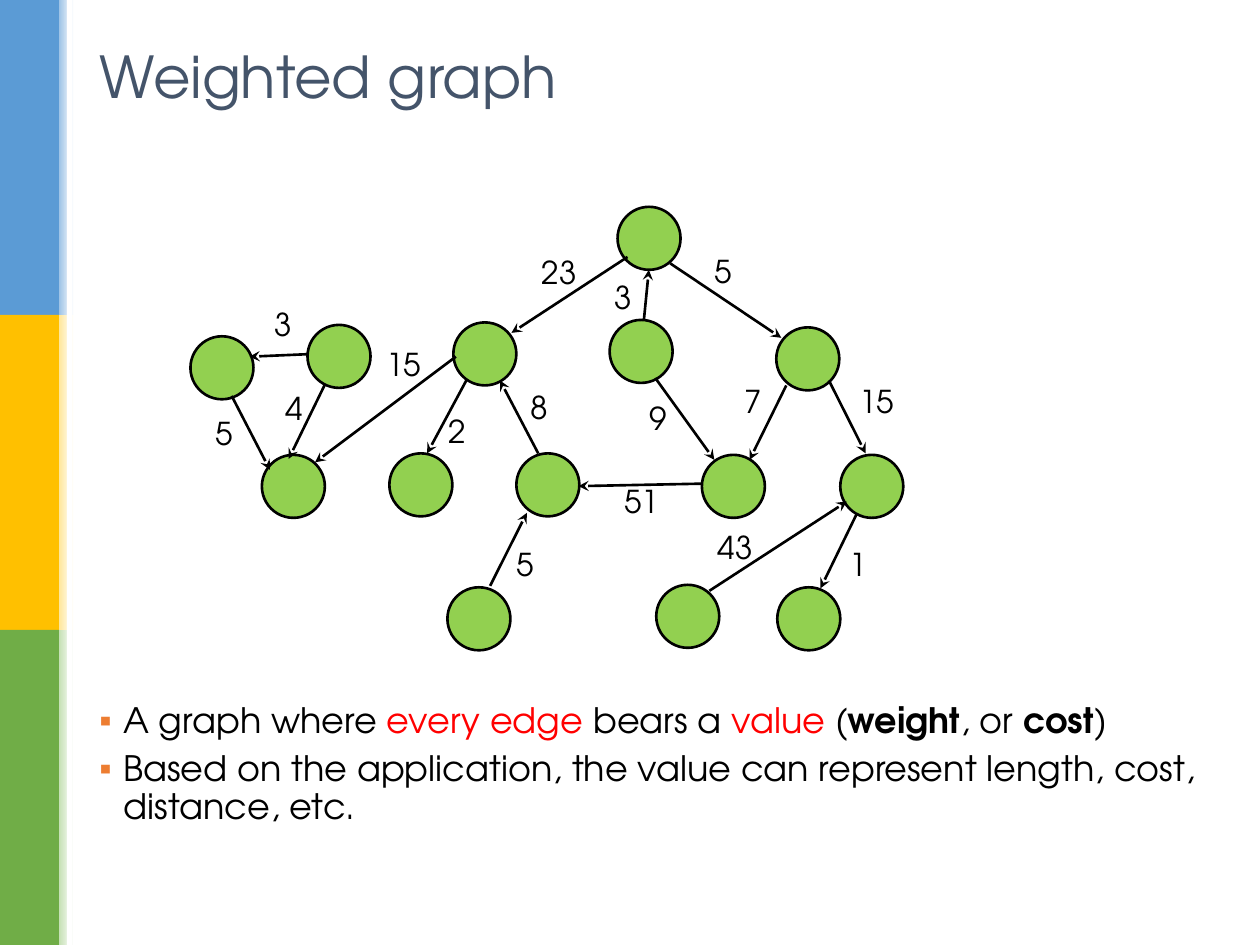
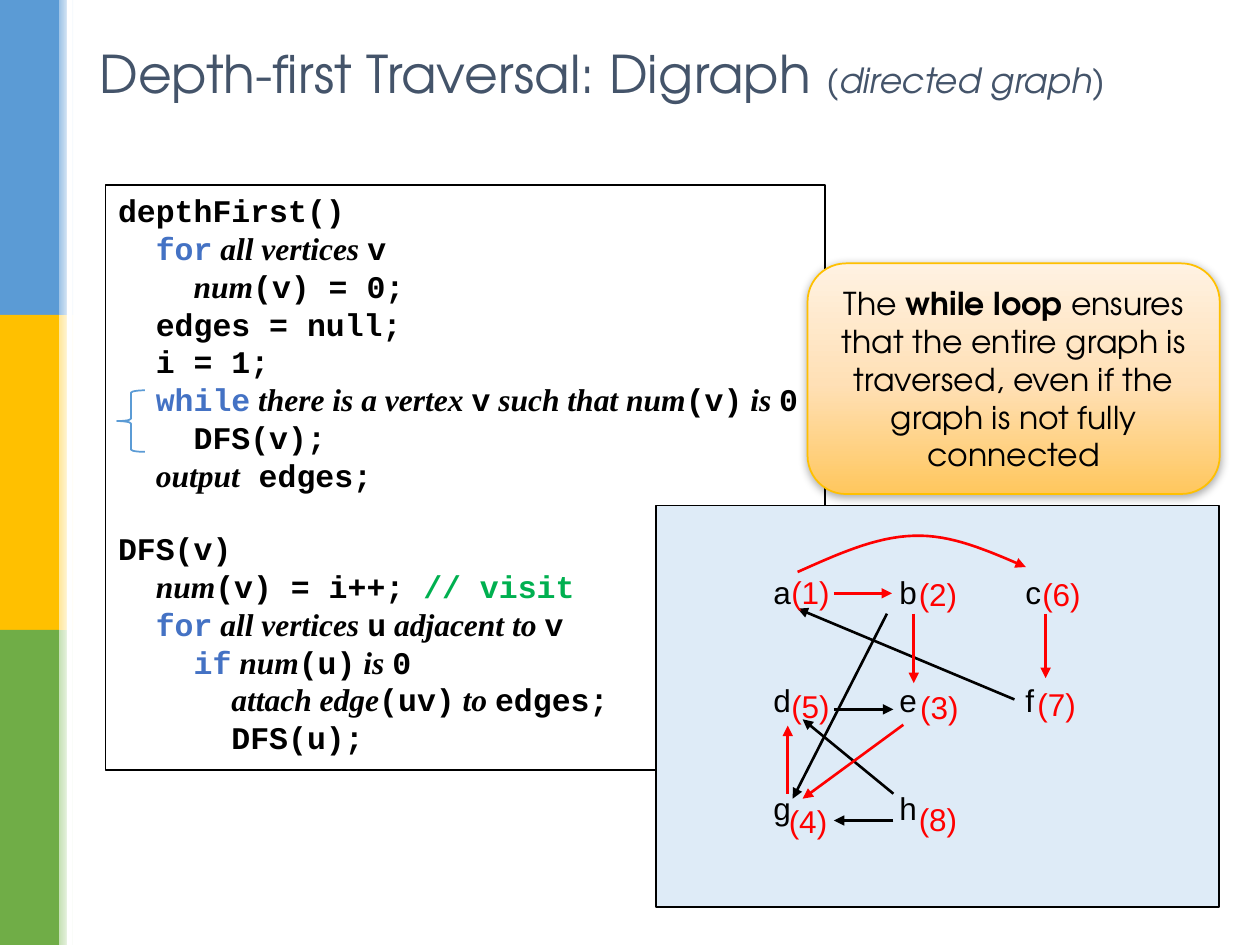
from lxml import etree
from pptx import Presentation
from pptx import util as u
from pptx.dml import color
from pptx.enum import shapes, text
from pptx.oxml import ns

COLORS = {
    "title": "44546A", "ink": "000000", "red": "FF0000", "node": "92D050",
    "bullet": "ED7D31", "keyword": "4472C4", "comment": "00B050",
    "panel": "DEEBF7", "blue": "5B9BD5", "gold": "FFC000", "green": "70AD47",
    "pale_blue": "9DC3E6", "pale_gold": "FFE699", "pale_green": "C5E0B4",
    "white": "FFFFFF", "orange": "FFC75E", "peach": "FFE0B6", "cream": "FFF2E2",
}
SANS, ARIAL, CODE, SERIF = "TeX Gyre Adventor", "Arial", "Courier New", "Times New Roman"
KIND = shapes.MSO_SHAPE
PLAIN = {}
BOLD = {"bold": True}
RED = {"ink": "red"}
KEY = {"ink": "keyword"}
WORD = {"name": SERIF, "italic": True}
NOTE = {"ink": "comment"}

NODE_SIZE = 1.27
NODES = [
    (12.45, 4.17), (9.14, 6.5), (12.29, 6.45), (15.65, 6.6), (3.84, 6.78),
    (6.2, 6.55), (5.28, 9.17), (7.85, 9.14), (10.41, 9.14), (14.15, 9.17),
    (16.94, 9.17), (9.02, 11.84), (13.23, 11.79), (15.67, 11.84),
]
WEIGHTED_EDGES = [
    ("23", (10.67, 4.98), (12.65, 5.18, 10.31, 6.71)),
    ("5", (14.15, 4.95), (13.51, 5.31, 15.75, 6.81)),
    ("3", (12.14, 5.49), (12.98, 6.45, 13.08, 5.44)),
    ("15", (17.07, 7.57), (16.71, 7.67, 17.45, 9.14)),
    ("7", (14.76, 7.57), (15.85, 7.77, 15.11, 9.27)),
    ("9", (12.85, 7.92), (13.21, 7.62, 14.4, 9.27)),
    ("1", (16.87, 10.87), (17.27, 10.36, 16.54, 11.86)),
    ("43", (14.22, 10.52), (14.3, 11.91, 17.07, 10.11)),
    ("51", (12.34, 9.6), (14.15, 9.75, 11.66, 9.8)),
    ("5", (10.16, 10.87), (9.88, 11.81, 10.62, 10.34)),
    ("8", (10.44, 7.7), (10.85, 9.14, 10.08, 7.67)),
    ("2", (8.79, 8.18), (9.4, 7.67, 8.61, 9.14)),
    ("15", (7.54, 6.83), (9.19, 7.19, 6.35, 9.32)),
    ("3", (5.28, 6.02), (6.2, 7.14, 5.03, 7.19)),
    ("5", (4.09, 8.23), (4.67, 7.98, 5.44, 9.47)),
    ("4", (5.51, 7.72), (6.55, 7.75, 5.82, 9.25)),
]
WEIGHT_BULLETS = [
    [("A graph where ", PLAIN), ("every edge ", RED), ("bears a ", PLAIN),
     ("value ", RED), ("(", PLAIN), ("weight", BOLD), (", or ", PLAIN),
     ("cost", BOLD), (")", PLAIN)],
    [("Based on the application, the value can represent length, cost, "
      "distance, etc.", PLAIN)],
]

DEPTH_FIRST = [
    [("depthFirst()", PLAIN)],
    [("  ", PLAIN), ("for", KEY), (" all vertices ", WORD), ("v", PLAIN)],
    [("    ", PLAIN), ("num", WORD), ("(v) = 0;", PLAIN)],
    [("  edges = null;", PLAIN)],
    [("  i = 1;", PLAIN)],
    [("  ", PLAIN), ("while", KEY), (" there is a vertex ", WORD), ("v", PLAIN),
     (" such that num", WORD), ("(v)", PLAIN), (" is ", WORD), ("0", PLAIN)],
    [("    DFS(v);", PLAIN)],
    [("  ", PLAIN), ("output", WORD), (" edges;", PLAIN)],
]
VISIT = [
    [("DFS(v)", PLAIN)],
    [("  ", PLAIN), ("num", WORD), ("(v) = i++; ", PLAIN), ("// visit", NOTE)],
    [("  ", PLAIN), ("for", KEY), (" all vertices ", WORD), ("u", PLAIN),
     (" adjacent to ", WORD), ("v", PLAIN)],
    [("    ", PLAIN), ("if", KEY), (" num", WORD), ("(u)", PLAIN),
     (" is ", WORD), ("0", PLAIN)],
    [("      ", PLAIN), ("attach edge", WORD), ("(uv)", PLAIN), (" to ", WORD),
     ("edges;", PLAIN)],
    [("      DFS(u);", PLAIN)],
]
UNUSED_EDGES = [
    (16.81, 14.3, 18.01, 14.3), (20.45, 14.1, 16.08, 12.27),
    (17.88, 12.37, 15.98, 16.1), (18.01, 16, 16.18, 14.5),
    (18.01, 16.54, 16.81, 16.54),
]
VISITED_EDGES = [
    (16.81, 11.96, 17.98, 11.96), (18.42, 12.37, 18.42, 13.77),
    (18.21, 14.61, 16.18, 16.1), (15.88, 16, 15.88, 14.63),
    (21.08, 12.37, 21.08, 13.67),
]
VISIT_NUMBERS = [
    (15.54, 11.43), (18.11, 11.46), (18.14, 13.74), (15.49, 16.05),
    (15.54, 13.72), (20.6, 11.46), (20.5, 13.69), (18.11, 16),
]
A_TO_C = [
    [(16.08, 11.53), (16.87, 11.18), (17.65, 10.82), (18.42, 10.8)],
    [(18.42, 10.8), (19.18, 10.77), (19.91, 11.1), (20.68, 11.43)],
]


def rgb(key):
    return color.RGBColor.from_string(COLORS[key])


def cm(*lengths):
    return [u.Cm(length) for length in lengths]


def child(parent, tag, **attributes):
    return etree.SubElement(parent, ns.qn(tag), attributes)


def style(font, size=None, name=None, ink=None, bold=None, italic=None):
    if size:
        font.size = u.Pt(size)
    if name:
        font.name = name
    if ink:
        font.color.rgb = rgb(ink)
    if bold is not None:
        font.bold = bold
    if italic is not None:
        font.italic = italic


def write(para, spans, **base):
    style(para.font, **base)
    for words, changes in spans:
        span = para.add_run()
        span.text = words
        style(span.font, **changes)


def paragraphs(frame, lines):
    for index, spans in enumerate(lines):
        yield (frame.add_paragraph() if index else frame.paragraphs[0]), spans


def outline(shape, ink, width):
    shape.line.color.rgb = rgb(ink)
    shape.line.width = u.Pt(width)


def add_arrowhead(shape, kind):
    child(shape.line._get_or_add_ln(), "a:tailEnd", type=kind)


def add_preset(page, kind, area, fill=None, ink=None, width=1):
    shape = page.shapes.add_shape(kind, *cm(*area))
    shape.shadow.inherit = False
    if fill:
        shape.fill.solid()
        shape.fill.fore_color.rgb = rgb(fill)
    else:
        shape.fill.background()
    if ink:
        outline(shape, ink, width)
    else:
        shape.line.fill.background()
    return shape


def blend(shape, stops, angle):
    shape.fill.gradient()
    shape.fill.gradient_angle = angle
    stop_list = shape.element.spPr.find(".//" + ns.qn("a:gsLst"))
    for old_stop in list(stop_list):
        stop_list.remove(old_stop)
    for position, key in stops:
        stop = child(stop_list, "a:gs", pos=str(position * 1000))
        child(stop, "a:srgbClr", val=COLORS[key])


def add_arrow(page, ends, head, ink="ink"):
    arrow = page.shapes.add_connector(shapes.MSO_CONNECTOR.STRAIGHT, *cm(*ends))
    outline(arrow, ink, 1.5)
    add_arrowhead(arrow, head)
    child(arrow.element.spPr, "a:effectLst")


def add_curved_arrow(page, curves, ink, steps=16):
    points = []
    for curve in curves:
        for step in range(steps + 1):
            t = step / steps
            weights = ((1 - t) ** 3, 3 * t * (1 - t) ** 2, 3 * t * t * (1 - t), t ** 3)
            points.append(cm(*(sum(w * p[axis] for w, p in zip(weights, curve))
                               for axis in (0, 1))))
    builder = page.shapes.build_freeform(*points[0])
    builder.add_line_segments(points[1:], close=False)
    arrow = builder.convert_to_shape()
    arrow.shadow.inherit = False
    arrow.fill.background()
    outline(arrow, ink, 1.5)
    add_arrowhead(arrow, "triangle")


def add_box(page, area, wrap=True):
    box = page.shapes.add_textbox(*cm(*area))
    box.text_frame.word_wrap = wrap
    return box


def add_label(page, words, area, name, ink="ink", centred=False):
    para = add_box(page, area, wrap=centred).text_frame.paragraphs[0]
    if centred:
        para.alignment = text.PP_ALIGN.CENTER
    write(para, [(words, PLAIN)], size=18, name=name, ink=ink)


def place(holder, area):
    holder.left, holder.top, holder.width, holder.height = cm(*area)
    holder.text_frame.auto_size = text.MSO_AUTO_SIZE.NONE
    return holder.text_frame


def set_title(page, spans, size, height):
    frame = place(page.shapes.title, (1.75, 0.66, 21.89, height))
    frame.vertical_anchor = text.MSO_ANCHOR.MIDDLE
    para = frame.paragraphs[0]
    para.alignment = text.PP_ALIGN.LEFT
    write(para, spans, size=size, name=SANS, ink="title")


def set_bullets(page, lines):
    frame = place(page.placeholders[1], (1.75, 14.05, 22.66, 4.42))
    for para, spans in paragraphs(frame, lines):
        properties = para._p.get_or_add_pPr()
        properties.set("marL", str(u.Cm(0.48)))
        properties.set("indent", str(u.Cm(-0.48)))
        child(child(properties, "a:buClr"), "a:srgbClr", val=COLORS["bullet"])
        child(properties, "a:buChar", char="▪")
        para.line_spacing = 0.9
        para.space_before = u.Pt(6 if para._p.getprevious().tag == ns.qn("a:p") else 0)
        write(para, spans, size=20, name=SANS, ink="ink")


def add_master_bands(deck, page):
    bands = []
    for row, key in enumerate(("blue", "gold", "green")):
        top = row * 6.35
        bands.append(add_preset(page, KIND.RECTANGLE, (0, top, 1.19, 6.35), key))
        fade = add_preset(page, KIND.RECTANGLE, (1.19, top, 0.3, 6.35))
        blend(fade, [(0, "pale_" + key), (100, "white")], 0)
        bands.append(fade)
    bands.append(add_preset(page, KIND.RECTANGLE, (1.35, 0, 0.1, 19.05), "white"))
    for number, band in enumerate(bands, 20):
        band.element.nvSpPr.cNvPr.id = number
        deck.slide_master.shapes.element.append(band.element)


def add_code(page):
    box = add_box(page, (2.13, 3.73, 14.5, 11.79))
    outline(box, "ink", 1)
    for para, spans in paragraphs(box.text_frame, DEPTH_FIRST + VISIT):
        if spans is VISIT[0]:
            para.space_before = u.Pt(20.4)
        write(para, spans, size=18, name=CODE, ink="ink", bold=True)


def add_vertex_letters(page):
    frame = add_box(page, (15.34, 11.43, 6.4, 5.61)).text_frame
    rows = ["a\tb\tc", "d\te\tf", "g\th"]
    for para, row in paragraphs(frame, rows):
        tabs = child(para._p.get_or_add_pPr(), "a:tabLst")
        for column in (1, 2):
            child(tabs, "a:tab", pos=str(u.Cm(2.54 * column)), algn="l")
        para.space_before = u.Pt(0 if row is rows[0] else 40)
        write(para, [(row, PLAIN)], size=18, name=ARIAL, ink="ink")


def add_callout(page, spans):
    callout = add_preset(page, KIND.ROUNDED_RECTANGLE, (16.28, 5.31, 8.31, 4.65), ink="gold")
    blend(callout, [(0, "orange"), (48, "peach"), (100, "cream")], 90)
    effects = callout.element.spPr.find(ns.qn("a:effectLst"))
    shadow = child(effects, "a:outerShdw", blurRad=str(u.Pt(5)), dist=str(u.Pt(1)),
                   dir="5400000", algn="ctr", rotWithShape="0")
    child(child(shadow, "a:srgbClr", val=COLORS["ink"]), "a:alpha", val="32000")
    callout.text_frame.word_wrap = True
    para = callout.text_frame.paragraphs[0]
    para.alignment = text.PP_ALIGN.CENTER
    write(para, spans, size=18, name=SANS, ink="ink")


def build_weighted_graph(page):
    set_title(page, [("Weighted graph", PLAIN)], 33, 1.73)
    for left, top in NODES:
        add_preset(page, KIND.OVAL, (left, top, NODE_SIZE, NODE_SIZE), "node", "ink", 1.5)
    for weight, corner, ends in WEIGHTED_EDGES:
        add_arrow(page, ends, "stealth")
        add_label(page, weight, (*corner, 0.5 + 0.36 * len(weight), 1.02), SANS)
    set_bullets(page, WEIGHT_BULLETS)


def build_traversal(page):
    set_title(page, [("Depth-first Traversal: Digraph ", PLAIN), ("(", {"size": 19.8}),
                     ("directed graph", {"size": 19.8, "italic": True}),
                     (")", {"size": 19.8})], 29.7, 1.6)
    add_code(page)
    add_preset(page, KIND.RECTANGLE, (13.23, 10.19, 11.35, 8.1), "panel", "ink")
    add_vertex_letters(page)
    for ends in UNUSED_EDGES:
        add_arrow(page, ends, "triangle")
    for ends in VISITED_EDGES:
        add_arrow(page, ends, "triangle", "red")
    add_curved_arrow(page, A_TO_C, "red")
    for number, corner in enumerate(VISIT_NUMBERS, 1):
        add_label(page, f"({number})", (*corner, 1.6, 1.02), ARIAL, "red", centred=True)
    add_preset(page, KIND.LEFT_BRACE, (2.36, 7.87, 0.56, 1.24), ink="blue")
    add_callout(page, [("The ", PLAIN), ("while loop ", BOLD),
                       ("ensures that the entire graph is traversed, even if the "
                        "graph is not fully connected", PLAIN)])


def main():
    deck = Presentation()
    deck.slide_width, deck.slide_height = cm(25.4, 19.05)
    graph_page = deck.slides.add_slide(deck.slide_layouts[1])
    add_master_bands(deck, graph_page)
    build_weighted_graph(graph_page)
    build_traversal(deck.slides.add_slide(deck.slide_layouts[5]))
    deck.save("out.pptx")


if __name__ == "__main__":
    main()
